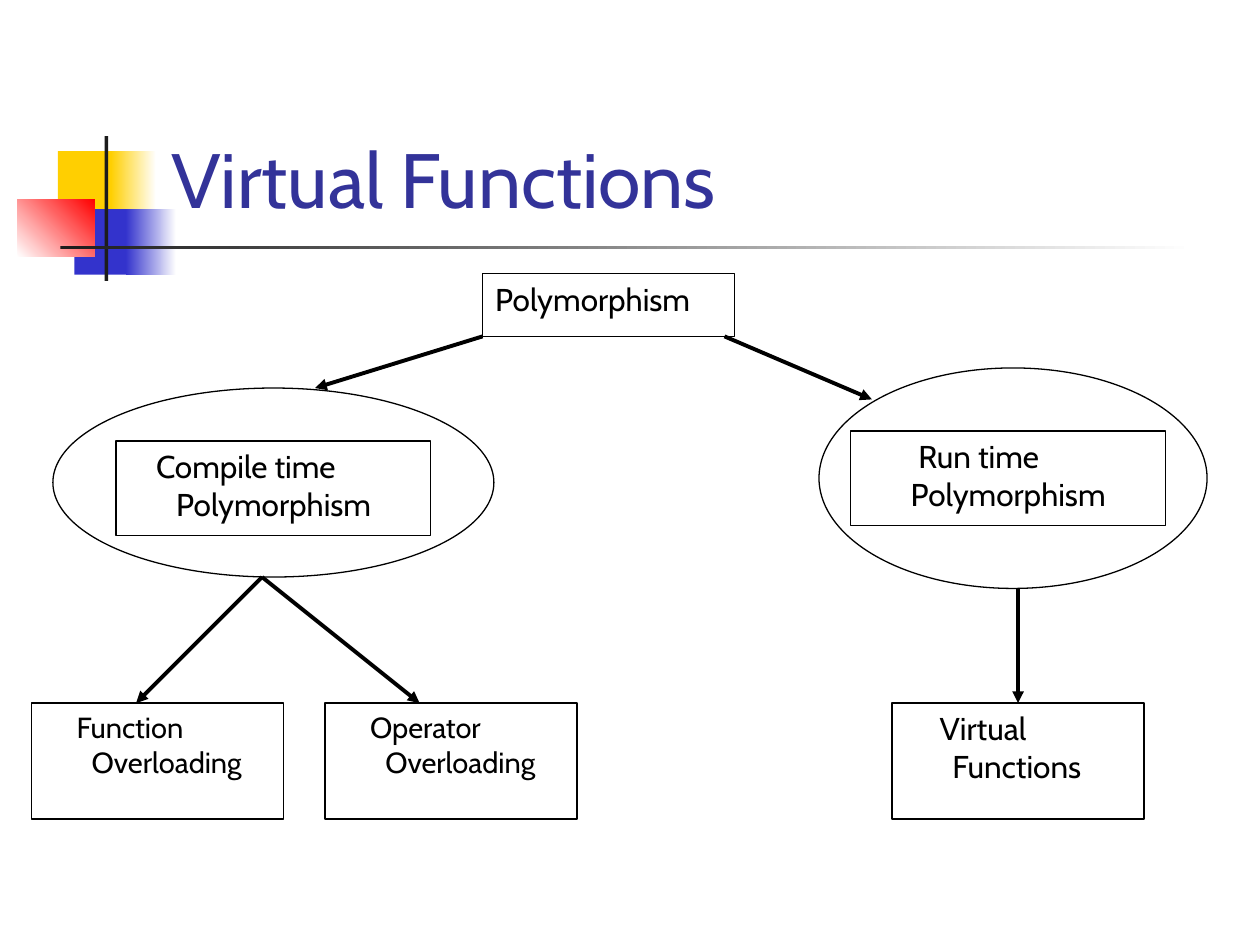
import pptx
import pptx.dml.color
import pptx.enum.shapes
import pptx.enum.text
import pptx.oxml
import pptx.oxml.ns
import pptx.util
from pptx.util import Inches

SHAPE = pptx.enum.shapes.MSO_SHAPE
ANCHOR = pptx.enum.text.MSO_ANCHOR
HANGING_INDENT = 0.38


def rgb(value):
    return pptx.dml.color.RGBColor.from_string(value)


def add_xml(parent, tag, attributes=""):
    namespace = pptx.oxml.ns.nsdecls("a")
    parent.append(pptx.oxml.parse_xml(f"<a:{tag} {namespace} {attributes}/>"))


class Diagram:
    font = "Cabin"
    ink = "000000"
    title_color = "333399"

    def __init__(self, slide):
        self.slide = slide

    def place(self, shape, at):
        shape.left, shape.top, shape.width, shape.height = map(Inches, at)

    def set_text(self, shape, text, size, color, anchor):
        frame = shape.text_frame
        frame.text = text
        frame.word_wrap = True
        frame.auto_size = pptx.enum.text.MSO_AUTO_SIZE.NONE
        frame.vertical_anchor = anchor
        paragraph = frame.paragraphs[0]
        paragraph.alignment = pptx.enum.text.PP_ALIGN.LEFT
        paragraph.space_before = pptx.util.Pt(0)
        for run in paragraph.runs:
            run.font.name = self.font
            run.font.size = pptx.util.Pt(size)
            run.font.color.rgb = rgb(color)
        return paragraph

    def title(self, text, at):
        heading = self.slide.shapes.title
        self.place(heading, at)
        self.set_text(heading, text, 44, self.title_color, ANCHOR.BOTTOM)

    def outline(self, shape):
        shape.fill.background()
        shape.line.color.rgb = rgb(self.ink)
        shape.line.width = pptx.util.Pt(0.75)

    def label(self, shape, text, size=18, first_line=0):
        """Set hanging text; first_line is where its first line starts."""
        paragraph = self.set_text(shape, text, size, self.ink, ANCHOR.TOP)
        properties = paragraph._p.get_or_add_pPr()
        properties.set("marL", str(Inches(HANGING_INDENT)))
        properties.set("indent", str(Inches(first_line - HANGING_INDENT)))
        add_xml(properties, "buNone")

    def root(self, text, at):
        body = self.slide.placeholders[1]
        self.place(body, at)
        self.outline(body)
        self.label(body, text)

    def shape(self, kind, at):
        shape = self.slide.shapes.add_shape(kind, *map(Inches, at))
        shape.shadow.inherit = False
        return shape

    def ellipse(self, at):
        self.outline(self.shape(SHAPE.OVAL, at))

    def box(self, at, text, size, first_line):
        shape = self.shape(SHAPE.RECTANGLE, at)
        self.outline(shape)
        self.label(shape, text, size, first_line)

    def block(self, at, *colors, angle=0):
        """Add a borderless rectangle, plain or fading between two colours."""
        shape = self.shape(SHAPE.RECTANGLE, at)
        shape.line.fill.background()
        if len(colors) == 1:
            shape.fill.solid()
            shape.fill.fore_color.rgb = rgb(colors[0])
            return
        shape.fill.gradient()
        shape.fill.gradient_angle = angle
        for stop, color in zip(shape.fill.gradient_stops, colors):
            stop.color.rgb = rgb(color)

    def arrow(self, start, end):
        connector = self.slide.shapes.add_connector(
            pptx.enum.shapes.MSO_CONNECTOR.STRAIGHT, *map(Inches, start + end))
        connector.line.color.rgb = rgb(self.ink)
        connector.line.width = pptx.util.Pt(2.25)
        add_xml(connector.line._get_or_add_ln(), "tailEnd", 'type="triangle"')
        add_xml(connector._element.spPr, "effectLst")


def main():
    presentation = pptx.Presentation()
    presentation.slide_width = Inches(10)
    presentation.slide_height = Inches(7.5)
    slide = presentation.slides.add_slide(presentation.slide_layouts[1])
    diagram = Diagram(slide)

    yellow, blue, red = "FFCF01", "3333CC", "FF0000"
    charcoal, white = "1C1C1C", "FFFFFF"
    diagram.block((0.46, 1.2, 0.48, 0.52), yellow)
    diagram.block((0.88, 1.2, 0.36, 0.52), yellow, white)
    diagram.block((0.59, 1.66, 0.46, 0.52), blue)
    diagram.block((1, 1.66, 0.4, 0.52), blue, white)
    diagram.block((0.14, 1.58, 0.61, 0.46), white, red, angle=45)
    diagram.block((0.83, 1.08, 0.03, 1.15), charcoal)
    diagram.block((0.48, 1.95, 9, 0.03), charcoal, white)

    diagram.title("Virtual Functions", (1.26, 0.23, 8.52, 1.6))
    diagram.root("Polymorphism", (3.83, 2.17, 2, 0.5))

    diagram.ellipse((0.42, 3.08, 3.5, 1.5))
    diagram.ellipse((6.5, 2.92, 3.08, 1.75))
    for left, top, text, first_line in (
        (0.92, 3.5, "Compile time Polymorphism", 0.22),
        (6.75, 3.42, "Run time Polymorphism", 0.44),
    ):
        diagram.box((left, top, 2.5, 0.75), text, 18, first_line)

    leaf_top = 5.58
    for left, text, size, first_line in (
        (0.25, "Function Overloading", 16.6, 0.26),
        (2.58, "Operator Overloading", 16.6, 0.26),
        (7.08, "Virtual Functions", 18, 0.28),
    ):
        diagram.box((left, leaf_top, 2, 0.92), text, size, first_line)

    compile_time_foot = (2.08, 4.58)
    for start, end in (
        ((3.83, 2.67), (2.5, 3.08)),
        ((5.75, 2.67), (6.92, 3.17)),
        (compile_time_foot, (1.08, leaf_top)),
        (compile_time_foot, (3.33, leaf_top)),
        ((8.08, 4.67), (8.08, leaf_top)),
    ):
        diagram.arrow(start, end)

    presentation.save("out.pptx")


if __name__ == "__main__":
    main()
